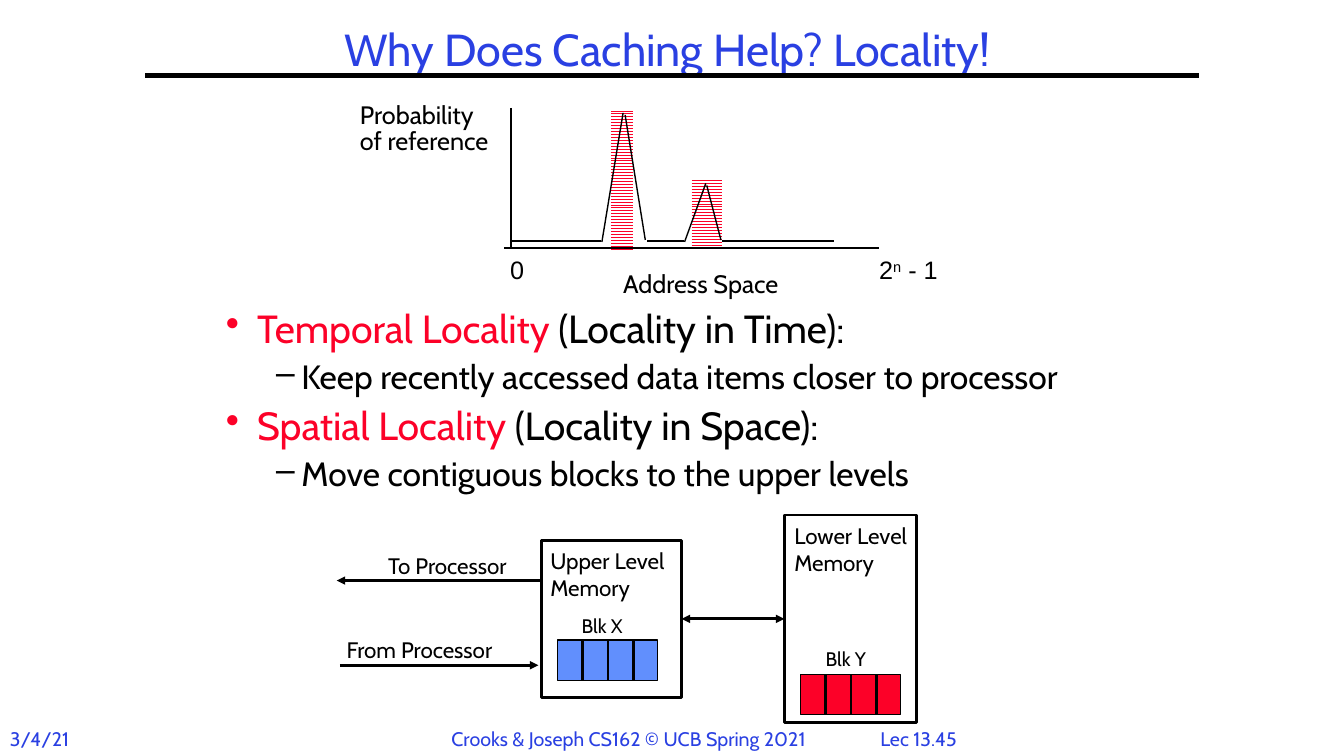
from lxml import etree
from pptx import Presentation
from pptx.dml.color import RGBColor
from pptx.enum.dml import MSO_PATTERN
from pptx.enum.shapes import MSO_CONNECTOR, MSO_SHAPE
from pptx.enum.text import MSO_ANCHOR, PP_ALIGN
from pptx.oxml.ns import qn
from pptx.util import Inches, Pt

BLACK, WHITE, BLUE, RED = "000000", "FFFFFF", "2A40E2", "FC0128"
BLOCK_BLUE = "618FFD"


def color(hex_value):
    return RGBColor.from_string(hex_value)


def add_line(x1, y1, x2, y2, width, head=False, tail=False):
    line = slide.shapes.add_connector(
        MSO_CONNECTOR.STRAIGHT, Inches(x1), Inches(y1), Inches(x2), Inches(y2))
    line.line.color.rgb = color(BLACK)
    line.line.width = Pt(width)
    outline = line.line._get_or_add_ln()
    for tag, wanted in (("a:headEnd", head), ("a:tailEnd", tail)):
        if wanted:
            etree.SubElement(outline, qn(tag), type="triangle")
    etree.SubElement(line._element.spPr, qn("a:effectLst"))
    return line


presentation = Presentation()
presentation.slide_width = Inches(13.33)
presentation.slide_height = Inches(7.5)
slide = presentation.slides.add_slide(presentation.slide_layouts[5])

# Title with its rule
add_line(1.44, 0.75, 11.89, 0.75, 3)
title = slide.shapes.title
title.left, title.top = Inches(3.1), Inches(0.25)
title.width, title.height = Inches(7.04), Inches(0.54)
frame = title.text_frame
frame.text = "Why Does Caching Help? Locality!"
frame.word_wrap = False
frame.vertical_anchor = MSO_ANCHOR.MIDDLE
frame.margin_left = frame.margin_right = Inches(0.07)
frame.margin_top = frame.margin_bottom = Inches(0.03)
paragraph = frame.paragraphs[0]
paragraph.alignment = PP_ALIGN.CENTER
paragraph.line_spacing = 0.9
paragraph.font.name, paragraph.font.size = "Cabin", Pt(32)
paragraph.font.color.rgb = color(BLUE)

# Locality bullets
body = slide.shapes.add_textbox(Inches(2.17), Inches(3.04), Inches(9.33), Inches(1.96))
frame = body.text_frame
frame.word_wrap = True
frame.margin_left = frame.margin_right = Inches(0.07)
frame.margin_top = frame.margin_bottom = Inches(0.03)
bullets = [
    (0, [("Temporal Locality ", RED), ("(Locality in Time):", BLACK)]),
    (1, [("Keep recently accessed data items closer to processor", BLACK)]),
    (0, [("Spatial Locality ", RED), ("(Locality in Space):", BLACK)]),
    (1, [("Move contiguous blocks to the upper levels", BLACK)]),
]
# Marker, left margin, hanging indent and text size of each level
levels = [("•", 0.31, 0.31, 28), ("–", 0.75, 0.25, 24)]
for index, (level, parts) in enumerate(bullets):
    marker, margin, hanging, size = levels[level]
    paragraph = frame.add_paragraph() if index else frame.paragraphs[0]
    paragraph.level = level
    paragraph.line_spacing = 0.9
    if index:
        paragraph.space_before = Pt(size / 4)
    properties = paragraph._p.get_or_add_pPr()
    properties.set("marL", str(Inches(margin)))
    properties.set("indent", str(-Inches(hanging)))
    etree.SubElement(properties, qn("a:buChar"), char=marker)
    paragraph.font.name, paragraph.font.size = "Cabin", Pt(size)
    for text, text_color in parts:
        run = paragraph.add_run()
        run.text = text
        run.font.color.rgb = color(text_color)

# Hot regions of the address space
for left, top, width, height in [(6.86, 1.76, 0.3, 0.7), (6.06, 1.07, 0.22, 1.4)]:
    region = slide.shapes.add_shape(
        MSO_SHAPE.RECTANGLE, Inches(left), Inches(top), Inches(width), Inches(height))
    region.shadow.inherit = False
    region.fill.patterned()
    region.fill.pattern = MSO_PATTERN.ZIG_ZAG
    region.fill.fore_color.rgb = color(RED)
    region.fill.back_color.rgb = color(WHITE)
    region.line.fill.background()

# Axes and probability curve
for ends in [
    (5.07, 1.07, 5.07, 2.45), (5, 2.46, 8.72, 2.46),
    (5.07, 2.39, 5.96, 2.39), (5.97, 2.4, 6.18, 1.12), (6.2, 1.14, 6.4, 2.38),
    (6.42, 2.39, 6.78, 2.39), (6.79, 2.4, 7, 1.82), (7.01, 1.84, 7.15, 2.38),
    (7.16, 2.39, 8.27, 2.39),
]:
    add_line(*ends, 1)

# Memory levels and the link between them
memories = []
for left, top, width, height in [(5.37, 5.36, 1.39, 1.56), (7.78, 5.11, 1.31, 2.06)]:
    memory = slide.shapes.add_shape(
        MSO_SHAPE.RECTANGLE, Inches(left), Inches(top), Inches(width), Inches(height))
    memory.shadow.inherit = False
    memory.fill.solid()
    memory.fill.fore_color.rgb = color(WHITE)
    memory.line.color.rgb = color(BLACK)
    memory.line.width = Pt(2)
    memories.append(memory)
upper, lower = memories
link = add_line(6.76, 6.14, 7.78, 6.14, 2, head=True, tail=True)
link.begin_connect(upper, 3)
link.end_connect(lower, 1)

# Processor arrows
add_line(5.37, 5.76, 3.34, 5.76, 2, tail=True)
add_line(3.37, 6.6, 5.34, 6.6, 2, tail=True)

# Blocks, each split into four words
for left, top, fill in [(5.53, 6.35, BLOCK_BLUE), (7.94, 6.69, RED)]:
    block = slide.shapes.add_shape(
        MSO_SHAPE.RECTANGLE, Inches(left), Inches(top), Inches(0.99), Inches(0.4))
    block.shadow.inherit = False
    block.fill.solid()
    block.fill.fore_color.rgb = color(fill)
    block.line.color.rgb = color(BLACK)
    block.line.width = Pt(1)
    for word in range(1, 4):
        x = left + word * 0.25
        add_line(x, top, x, top + 0.4, 2)

# Labels: place, lines, font, size, colour, line spacing, margins, wrapping
chart_style = (18, BLACK, 0.85, 0.07, 0.03, False)
memory_style = (16, BLACK, 1, 0.1, 0.05, False)
block_style = (14, BLACK, 1, 0.1, 0.05, True)
footer_style = (14, BLUE, 1, 0.1, 0.05, True)
labels = [
    ((3.5, 1, 1.49, 0.57), ["Probability", "of reference"], "Cabin", chart_style),
    ((6.11, 2.68, 1.85, 0.31), ["Address Space"], "Cabin", chart_style),
    ((4.99, 2.54, 0.28, 0.31), ["0"], "Arial", chart_style),
    ((8.65, 2.54, 0.74, 0.31), ["2^n^ - 1"], "Arial", chart_style),
    ((5.36, 5.38, 1.41, 0.64), ["Upper Level", "Memory"], "Cabin", memory_style),
    ((7.78, 5.13, 1.41, 0.64), ["Lower Level", "Memory"], "Cabin", memory_style),
    ((3.75, 5.43, 1.51, 0.37), ["To Processor"], "Cabin", memory_style),
    ((3.34, 6.26, 1.8, 0.37), ["From Processor"], "Cabin", memory_style),
    ((5.67, 6.04, 0.66, 0.33), ["Blk X"], "Cabin", block_style),
    ((8.09, 6.37, 0.66, 0.33), ["Blk Y"], "Cabin", block_style),
    ((0, 7.16, 0.8, 0.34), ["3/4/21"], "Cabin", footer_style),
    ((4.38, 7.16, 3.76, 0.34), ["Crooks & Joseph CS162 © UCB Spring 2021"],
     "Cabin", footer_style),
    ((8.5, 7.16, 1.22, 0.34), ["Lec 13.45"], "Cabin", footer_style),
]
for place, lines, font, style in labels:
    size, text_color, spacing, side, edge, wrap = style
    label = slide.shapes.add_textbox(*map(Inches, place))
    frame = label.text_frame
    frame.word_wrap = wrap
    frame.margin_left = frame.margin_right = Inches(side)
    frame.margin_top = frame.margin_bottom = Inches(edge)
    for index, text in enumerate(lines):
        paragraph = frame.add_paragraph() if index else frame.paragraphs[0]
        paragraph.line_spacing = spacing
        paragraph.font.name, paragraph.font.size = font, Pt(size)
        paragraph.font.color.rgb = color(text_color)
        # Text between carets is raised
        for position, part in enumerate(text.split("^")):
            run = paragraph.add_run()
            run.text = part
            if position % 2:
                run.font._element.set("baseline", "30000")
# The lecture number, last in the list, is centred
paragraph.alignment = PP_ALIGN.CENTER

presentation.save("out.pptx")
